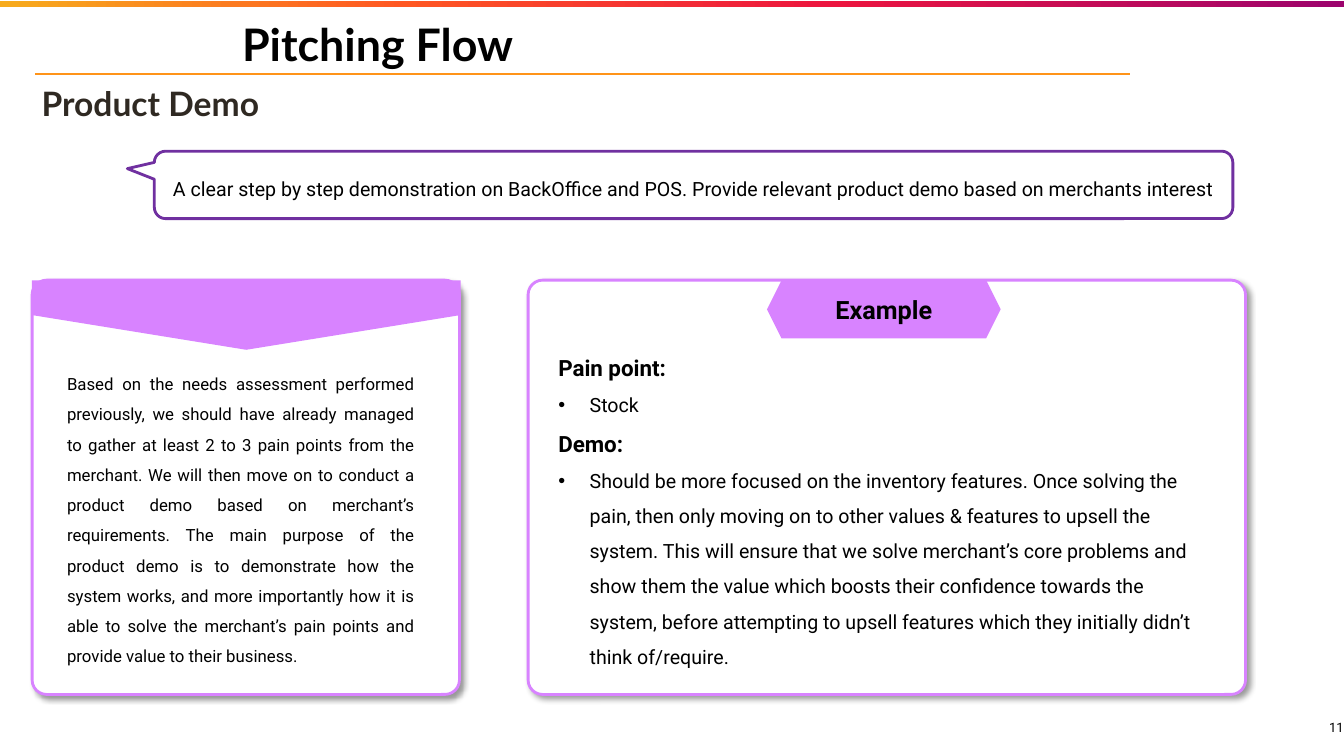
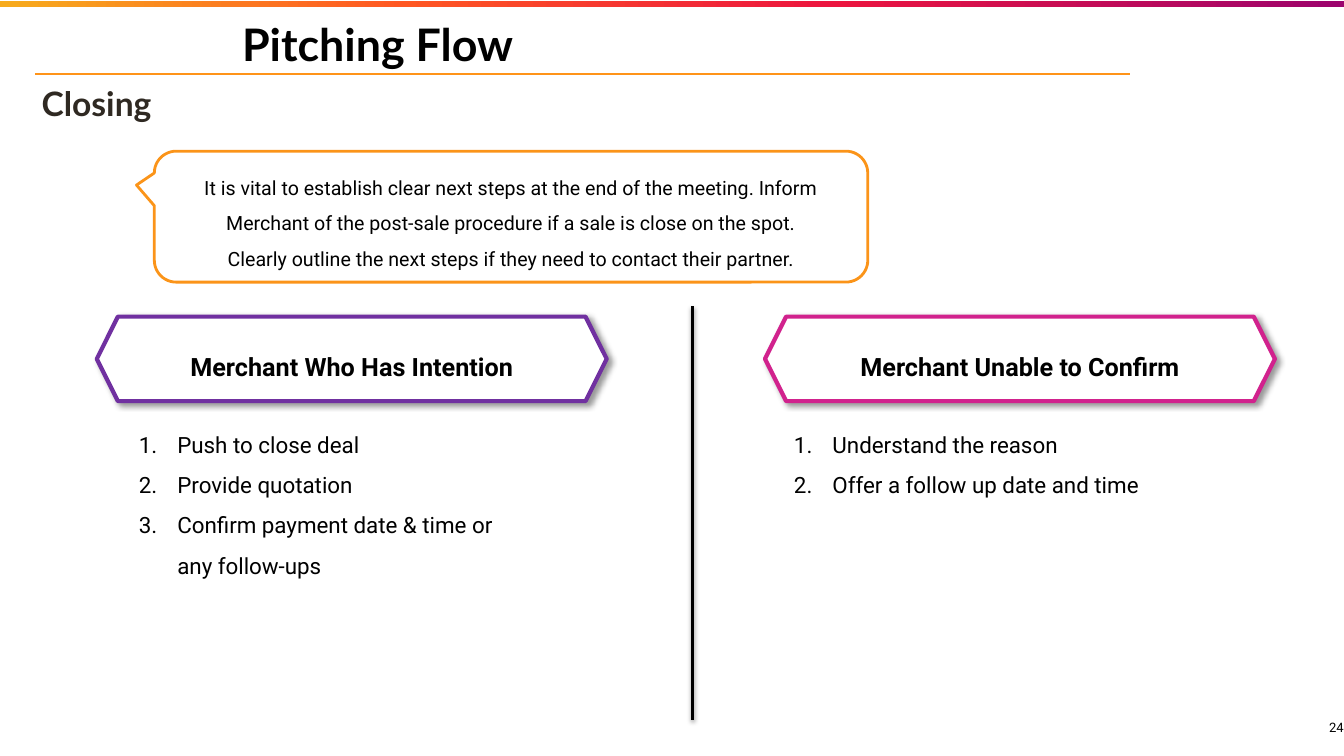
from dataclasses import dataclass

from lxml import etree
from pptx import Presentation
from pptx.dml.color import RGBColor
from pptx.enum.shapes import MSO_CONNECTOR, MSO_SHAPE
from pptx.enum.text import MSO_ANCHOR, PP_ALIGN
from pptx.oxml.ns import qn
from pptx.util import Cm, Pt

LEFT, CENTER, RIGHT, JUSTIFY = PP_ALIGN.LEFT, PP_ALIGN.CENTER, PP_ALIGN.RIGHT, PP_ALIGN.JUSTIFY
TOP, MIDDLE = MSO_ANCHOR.TOP, MSO_ANCHOR.MIDDLE
RECTANGLE, ROUNDED, HEXAGON = MSO_SHAPE.RECTANGLE, MSO_SHAPE.ROUNDED_RECTANGLE, MSO_SHAPE.HEXAGON
CALLOUT, PENTAGON = MSO_SHAPE.ROUNDED_RECTANGULAR_CALLOUT, MSO_SHAPE.PENTAGON
STRAIGHT = MSO_CONNECTOR.STRAIGHT


@dataclass(frozen=True)
class Theme:
    heading_font: str = "Lato"
    body_font: str = "Roboto"
    black: str = "000000"
    white: str = "FFFFFF"
    subtitle: str = "2F2922"
    rule: str = "FF9419"
    orange: str = "FB9419"
    purple: str = "7030A0"
    lilac: str = "D883FF"
    pink: str = "D1228D"
    band: tuple = ((0, "F7AB1D"), (30, "FF5722"), (62, "EC153F"), (100, "9C036D"))
    title_size: float = 32
    subtitle_size: float = 24
    label_size: float = 18
    lead_size: float = 16
    body_size: float = 14
    small_size: float = 12
    number_size: float = 9.3
    loose: float = 1.5


theme = Theme()
SOFT_SHADOW = (40, 4, 3, 45)  # opacity, blur, distance, angle
LINE_SHADOW = (38, 3.1, 1.6, 90)
BOX_MARGINS = (0.25, 0.13, 0.25, 0.13)
TITLE_MARGINS = (0.08, 0.08, 0.08, 0.08)


def style(shape, fill=None, line=None, width=2, shadow=None):
    """Set fill, outline and shadow of a shape; a connector takes no fill."""
    if fill:
        shape.fill.solid()
        shape.fill.fore_color.rgb = RGBColor.from_string(fill)
    if line:
        shape.line.color.rgb = RGBColor.from_string(line)
        shape.line.width = Pt(width)
    else:
        shape.line.fill.background()
    effects = etree.SubElement(shape._element.spPr, qn("a:effectLst"))
    if shadow:
        opacity, blur, distance, angle = shadow
        outer = etree.SubElement(effects, qn("a:outerShdw"), blurRad=str(Pt(blur)),
                                 dist=str(Pt(distance)), dir=str(angle * 60000),
                                 algn="tl", rotWithShape="0")
        color = etree.SubElement(outer, qn("a:srgbClr"), val=theme.black)
        etree.SubElement(color, qn("a:alpha"), val=str(opacity * 1000))
    return shape


def write(box, text, size=theme.body_size, font=theme.body_font, color=theme.black,
          bold=False, align=LEFT, spacing=1.0, anchor=TOP, margins=BOX_MARGINS,
          marker=None, indent=0.0):
    """Add one paragraph to a box; marker is a bullet sign or "number"."""
    frame = box.text_frame
    frame.word_wrap = True
    frame.vertical_anchor = anchor
    (frame.margin_left, frame.margin_top,
     frame.margin_right, frame.margin_bottom) = map(Cm, margins)
    para = frame.add_paragraph() if frame.text else frame.paragraphs[0]
    para.alignment = align
    para.line_spacing = spacing
    if marker:
        properties = para._p.get_or_add_pPr()
        properties.set("marL", str(Cm(indent)))
        properties.set("indent", str(-Cm(indent)))
        if marker == "number":
            etree.SubElement(properties, qn("a:buFont"), typeface="+mj-lt")
            etree.SubElement(properties, qn("a:buAutoNum"), type="arabicPeriod")
        else:
            etree.SubElement(properties, qn("a:buFont"), typeface="Arial")
            etree.SubElement(properties, qn("a:buChar"), char=marker)
    span = para.add_run()
    span.text = text
    span.font.size = Pt(size)
    span.font.name = font
    span.font.bold = bold
    span.font.color.rgb = RGBColor.from_string(color)


deck = Presentation()
deck.slide_width, deck.slide_height = Cm(33.87), Cm(19.05)

# Shared frame: band, rule, titles, page number and callout
PAGES = [
    dict(subtitle="Product Demo", number="11", width=27.18, height=1.7,
         color=theme.purple, margins=(0.1, 0.27, 0.1, 0),
         lead="A clear step by step demonstration on BackOffice and POS. "
              "Provide relevant product demo based on merchants interest"),
    dict(subtitle="Closing", number="24", width=17.98, height=3.3,
         color=theme.orange, margins=(0.88, 0.17, 0.88, 0),
         lead="It is vital to establish clear next steps at the end of the meeting. "
              "Inform Merchant of the post-sale procedure if a sale is close on the spot. "
              "Clearly outline the next steps if they need to contact their partner."),
]
pages = []
for content in PAGES:
    page = deck.slides.add_slide(deck.slide_layouts[6])
    pages.append(page)

    band = page.shapes.add_shape(RECTANGLE, 0, Cm(0.03), deck.slide_width, Cm(0.15))
    band.fill.gradient()
    band.fill.gradient_angle = 0
    stops = band._element.spPr.find(".//" + qn("a:gsLst"))
    for stop in list(stops):
        stops.remove(stop)
    for position, color in theme.band:
        stop = etree.SubElement(stops, qn("a:gs"), pos=str(position * 1000))
        etree.SubElement(stop, qn("a:srgbClr"), val=color)
    style(band)

    rule = page.shapes.add_connector(STRAIGHT, Cm(0.89), Cm(1.87), Cm(28.47), Cm(1.87))
    style(rule, line=theme.rule, width=1.5)

    subtitle = page.shapes.add_textbox(Cm(0.97), Cm(2.08), Cm(27.4), Cm(1.02))
    write(subtitle, content["subtitle"], size=theme.subtitle_size, font=theme.heading_font,
          color=theme.subtitle, bold=True, anchor=MIDDLE, margins=TITLE_MARGINS)
    title = page.shapes.add_textbox(Cm(6.02), Cm(0.13), Cm(21.49), Cm(1.96))
    write(title, "Pitching Flow", size=theme.title_size, font=theme.heading_font,
          bold=True, anchor=MIDDLE, margins=TITLE_MARGINS)
    number = page.shapes.add_textbox(Cm(31.83), Cm(17.6), Cm(2.03), Cm(1.45))
    write(number, content["number"], size=theme.number_size, align=RIGHT,
          anchor=MIDDLE, margins=(0, 0, 0, 0))

    callout = page.shapes.add_shape(CALLOUT, Cm(3.89), Cm(3.81),
                                    Cm(content["width"]), Cm(content["height"]))
    callout.adjustments[0], callout.adjustments[1] = -0.525, -0.241
    style(callout, theme.white, content["color"])
    write(callout, content["lead"], align=CENTER, spacing=theme.loose,
          margins=content["margins"])

demo_page, closing_page = pages

# Product demo: two cards
for left, width in ((0.81, 10.77), (13.31, 18.08)):
    card = demo_page.shapes.add_shape(ROUNDED, Cm(left), Cm(7.06), Cm(width), Cm(10.44))
    card.adjustments[0] = 0.035
    style(card, theme.white, theme.lilac, shadow=SOFT_SHADOW)

# Left card: flap and explanation
flap = demo_page.shapes.add_shape(PENTAGON, Cm(5.33), Cm(2.54), Cm(1.75), Cm(10.8))
flap.rotation = 90
style(flap, theme.lilac)
explanation = demo_page.shapes.add_textbox(Cm(1.44), Cm(9.04), Cm(9.26), Cm(7.87))
write(explanation,
      "Based on the needs assessment performed previously, we should have already managed "
      "to gather at least 2 to 3 pain points from the merchant. We will then move on to "
      "conduct a product demo based on merchant’s requirements. The main purpose of the "
      "product demo is to demonstrate how the system works, and more importantly how it is "
      "able to solve the merchant’s pain points and provide value to their business.",
      size=theme.small_size, align=JUSTIFY, spacing=theme.loose)

# Right card: label and example
label = demo_page.shapes.add_shape(HEXAGON, Cm(19.33), Cm(7.06), Cm(5.89), Cm(1.47))
style(label, theme.lilac)
write(label, "Example", size=theme.label_size, bold=True, align=CENTER, anchor=MIDDLE)
example = demo_page.shapes.add_textbox(Cm(13.82), Cm(8.46), Cm(16.94), Cm(8.48))
EXAMPLE = [
    ("Pain point:", "Stock"),
    ("Demo:",
     "Should be more focused on the inventory features. Once solving the pain, then only "
     "moving on to other values & features to upsell the system. This will ensure that we "
     "solve merchant’s core problems and show them the value which boosts their confidence "
     "towards the system, before attempting to upsell features which they initially didn’t "
     "think of/require."),
]
for heading, detail in EXAMPLE:
    write(example, heading, size=theme.lead_size, bold=True, spacing=theme.loose)
    write(example, detail, spacing=theme.loose, marker="•", indent=0.79)

# Closing: two outcomes with numbered steps
OUTCOMES = [
    ("Merchant Who Has Intention", theme.purple, 2.44, 3.25,
     ["Push to close deal", "Provide quotation",
      "Confirm payment date & time or any follow-ups"]),
    ("Merchant Unable to Confirm", theme.pink, 19.28, 19.76,
     ["Understand the reason", "Offer a follow up date and time"]),
]
for heading, color, banner_left, steps_left, steps in OUTCOMES:
    banner = closing_page.shapes.add_shape(HEXAGON, Cm(banner_left), Cm(7.98),
                                           Cm(12.85), Cm(2.13))
    style(banner, theme.white, color, width=3, shadow=SOFT_SHADOW)
    write(banner, heading, size=theme.label_size, bold=True, align=CENTER,
          spacing=theme.loose, anchor=MIDDLE)
    step_list = closing_page.shapes.add_textbox(Cm(steps_left), Cm(10.39), Cm(10.19), Cm(4.24))
    for step in steps:
        write(step_list, step, size=theme.lead_size, spacing=theme.loose,
              marker="number", indent=0.97)

# Divider between the outcomes
divider = closing_page.shapes.add_connector(STRAIGHT, Cm(17.45), Cm(7.72), Cm(17.45), Cm(18.14))
style(divider, line=theme.black, shadow=LINE_SHADOW)

deck.save("out.pptx")
